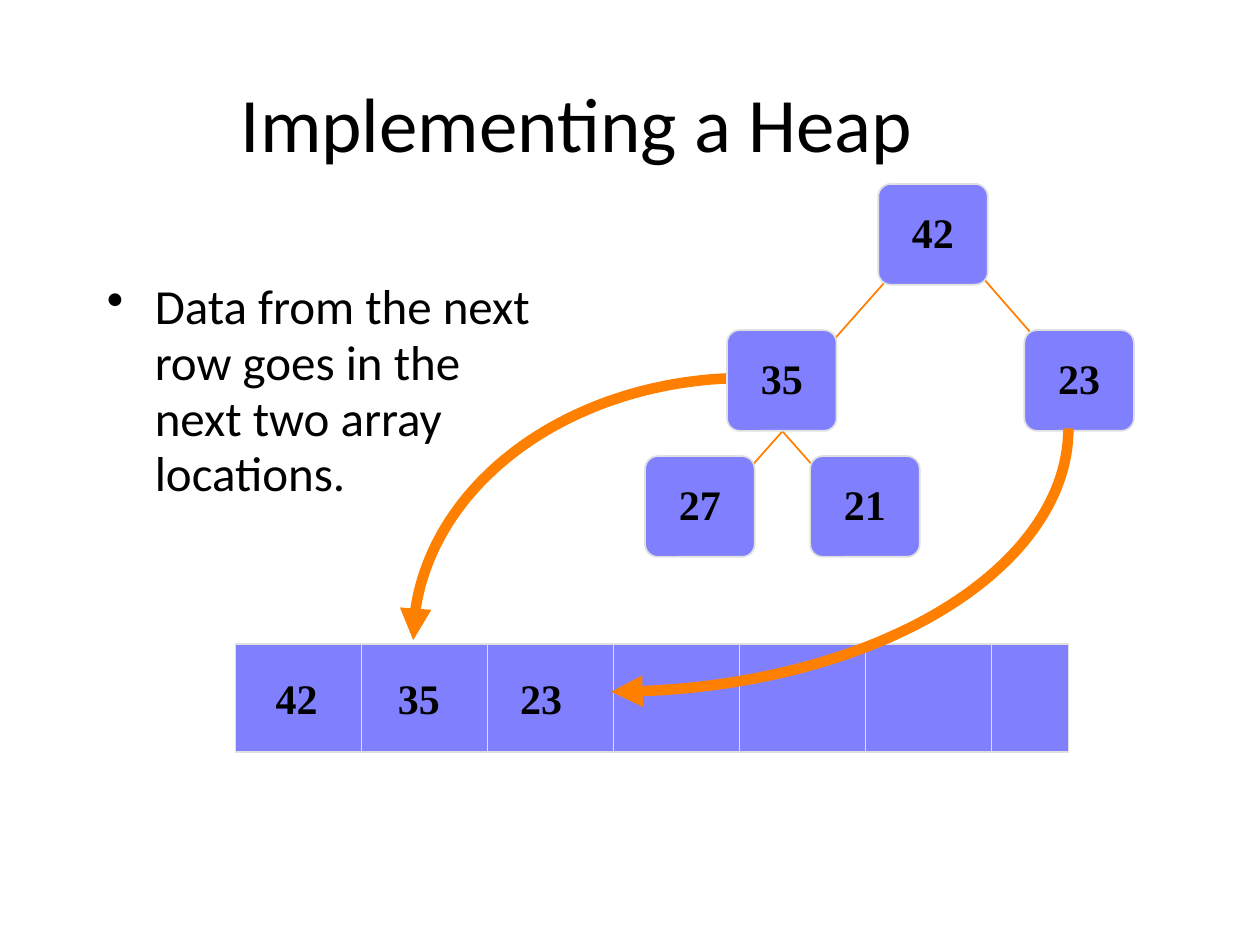
from math import cos, pi, sin

from lxml import etree
from pptx import Presentation
from pptx.dml.color import RGBColor
from pptx.enum.shapes import MSO_CONNECTOR, MSO_SHAPE
from pptx.enum.text import MSO_ANCHOR as Anchor, PP_ALIGN as Align
from pptx.oxml.ns import qn
from pptx.util import Inches, Pt

TITLE = "Implementing a Heap"
BULLET = "Data from the next row goes in the next two array locations."
NODES = [("21", 6.43, 3.62), ("27", 5.12, 3.62), ("23", 8.13, 2.62),
         ("42", 6.97, 1.46), ("35", 5.77, 2.62)]
EDGES = [((6.03, 3.22), (6.65, 3.92)), ((6.39, 3.22), (5.77, 3.92)),
         ((7.77, 2.17), (8.38, 2.87)), ((7.04, 2.22), (6.42, 2.92))]
STORED = ["42", "35", "23"]
ARRAY = (1.87, 5.11, 6.61, 0.86)
NODE_SIZE = (0.87, 0.8)
DIVIDERS = 6
ARC_STEPS = 60
BLACK, PURPLE, GREY, ORANGE = "000000", "8080FF", "E0E0E0", "FF8000"

prs = Presentation()
prs.slide_width, prs.slide_height = Inches(10), Inches(7.5)
slide = prs.slides.add_slide(prs.slide_layouts[6])
shapes = slide.shapes


def color(value):
    return RGBColor.from_string(value)


def write(shape, text, size=24, font="Times New Roman", bold=True, align=Align.CENTER,
          anchor=Anchor.MIDDLE, wrap=True, bullet=False):
    frame = shape.text_frame
    frame.word_wrap = wrap
    frame.vertical_anchor = anchor
    para = frame.paragraphs[0]
    para.alignment = align
    para.line_spacing = 0.95
    if bullet:
        props = para._p.get_or_add_pPr()
        props.set("marL", str(Inches(0.38)))
        props.set("indent", str(-Inches(0.38)))
        etree.SubElement(props, qn("a:buChar")).set("char", "•")
    run = para.add_run()
    run.text = text
    run.font.size, run.font.name, run.font.bold = Pt(size), font, bold
    run.font.color.rgb = color(BLACK)


def textbox(text, x, y, w, h, **style):
    write(shapes.add_textbox(Inches(x), Inches(y), Inches(w), Inches(h)), text, **style)


def box(kind, x, y, w, h):
    shape = shapes.add_shape(kind, Inches(x), Inches(y), Inches(w), Inches(h))
    shape.shadow.inherit = False
    shape.fill.solid()
    shape.fill.fore_color.rgb = color(PURPLE)
    shape.line.color.rgb = color(GREY)
    shape.line.width = Pt(1)
    return shape


def line(start, end, stroke):
    connector = shapes.add_connector(MSO_CONNECTOR.STRAIGHT, *map(Inches, start + end))
    connector.line.color.rgb = color(stroke)
    connector.line.width = Pt(1)
    etree.SubElement(connector._element.spPr, qn("a:effectLst"))


def arc_arrow(start, end, center):
    points = []
    for step in range(ARC_STEPS + 1):
        angle = pi / 2 * step / ARC_STEPS
        points.append([Inches(c + (s - c) * cos(angle) + (e - c) * sin(angle))
                       for s, e, c in zip(start, end, center)])
    builder = shapes.build_freeform(*points[0])
    builder.add_line_segments(points[1:], close=False)
    arc = builder.convert_to_shape()
    arc.shadow.inherit = False
    arc.fill.background()
    arc.line.color.rgb = color(ORANGE)
    arc.line.width = Pt(6)
    etree.SubElement(arc.line._get_or_add_ln(), qn("a:tailEnd")).set("type", "triangle")


arc_arrow((5.92, 3), (3.28, 5.08), center=(5.92, 5.08))

textbox(TITLE, 0.33, 0.38, 8.5, 1.25, size=44, font="Calibri", bold=False)
textbox(BULLET, 0.75, 2.17, 3.72, 4.5, size=28, font="Calibri", bold=False,
        align=Align.LEFT, anchor=Anchor.TOP, bullet=True)

box(MSO_SHAPE.RECTANGLE, *ARRAY)
left, top, _, height = ARRAY
for i in range(1, DIVIDERS + 1):
    line((left + i, top), (left + i, top + height), GREY)

for start, end in EDGES:
    line(start, end, ORANGE)
for value, x, y in NODES:
    node = box(MSO_SHAPE.ROUNDED_RECTANGLE, x, y, *NODE_SIZE)
    node.adjustments[0] = 0.126
    write(node, value)

for i, value in enumerate(STORED):
    textbox(value, 2.09 + 0.97 * i, 5.32, 0.53, 0.5,
            align=Align.LEFT, anchor=Anchor.TOP, wrap=False)

arc_arrow((8.48, 3.4), (4.85, 5.49), center=(4.85, 3.4))

prs.save("out.pptx")
